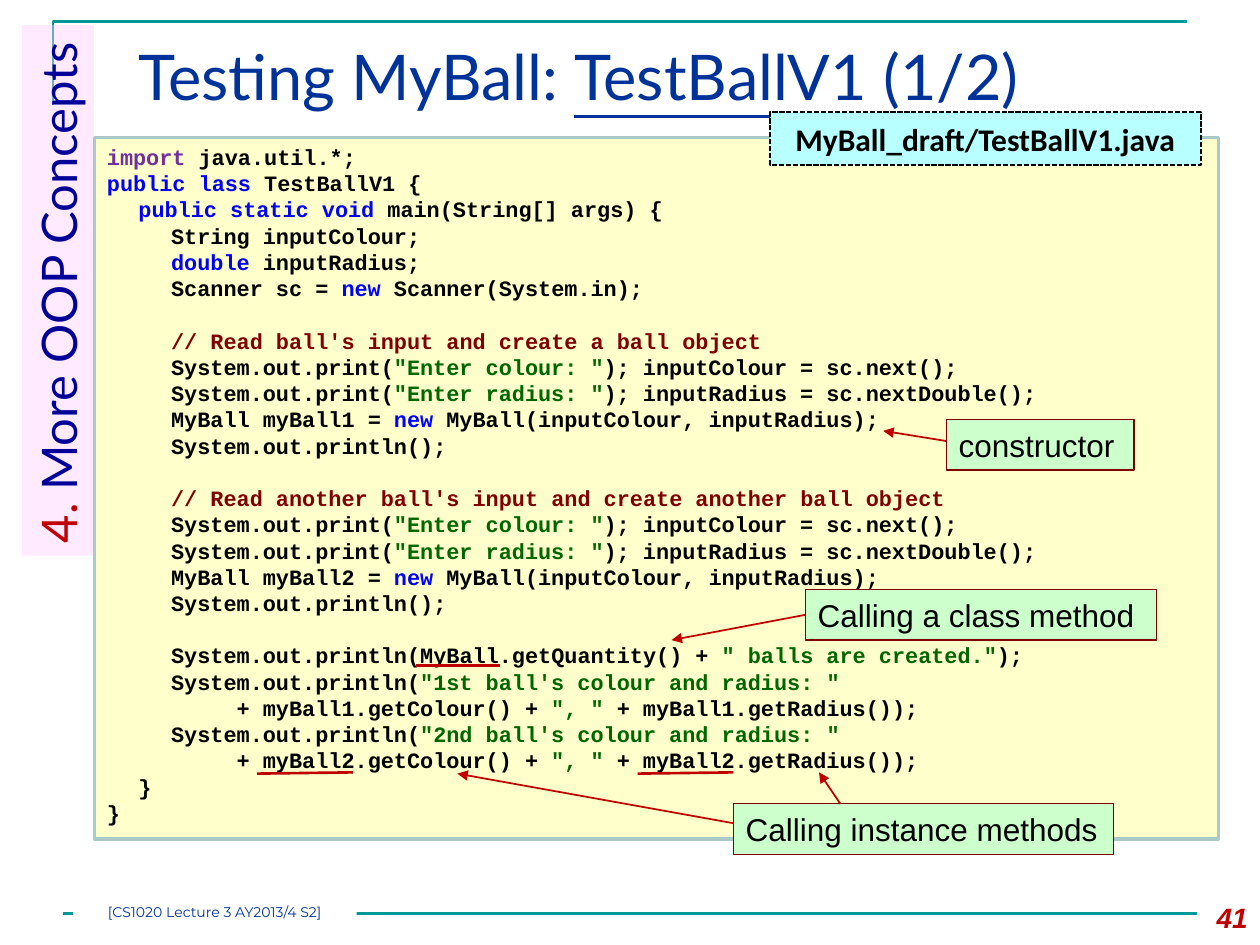
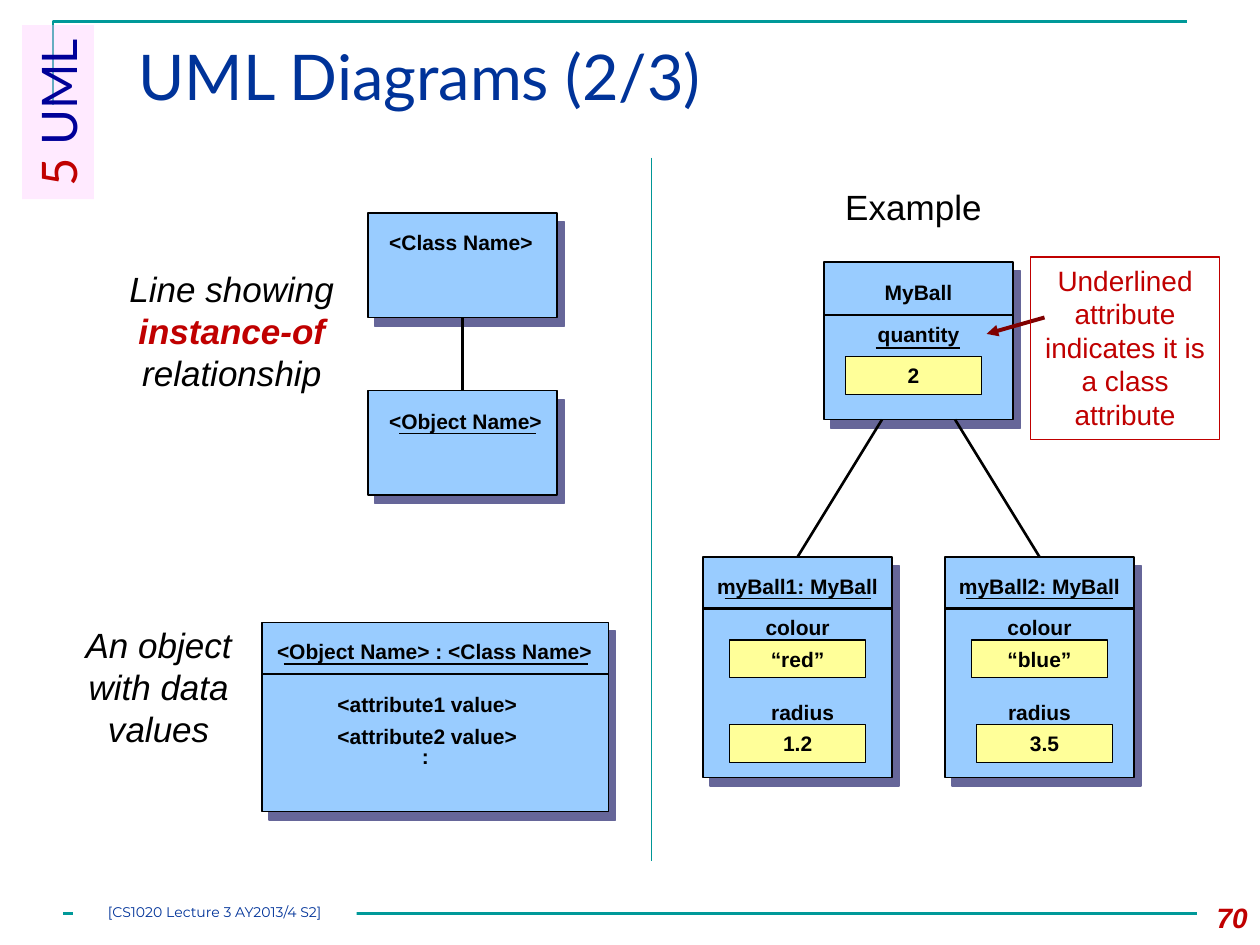
from dataclasses import dataclass, replace
from typing import NamedTuple, Optional

from lxml.etree import SubElement
from pptx import Presentation
from pptx.dml.color import RGBColor
from pptx.enum.dml import MSO_LINE
from pptx.enum.shapes import MSO_CONNECTOR, MSO_SHAPE as Kind
from pptx.enum.text import MSO_ANCHOR as Anchor, MSO_AUTO_SIZE as Fit, PP_ALIGN as Align
from pptx.oxml.ns import qn
from pptx.util import Inches, Pt

BLACK = RGBColor(0x00, 0x00, 0x00)
WHITE = RGBColor(0xFF, 0xFF, 0xFF)
TEAL = RGBColor(0x00, 0x99, 0x99)
RULE = RGBColor(0x00, 0x96, 0x96)
NAVY = RGBColor(0x00, 0x33, 0x99)
INDIGO = RGBColor(0x00, 0x00, 0x99)
RED = RGBColor(0xC0, 0x00, 0x00)
MAROON = RGBColor(0x80, 0x00, 0x00)
PINK = RGBColor(0xFF, 0xCC, 0xFF)
CREAM = RGBColor(0xFF, 0xFF, 0xCC)
SAGE = RGBColor(0xAA, 0xCA, 0xCA)
AQUA = RGBColor(0xB8, 0xFF, 0xFF)
MINT = RGBColor(0xCC, 0xFF, 0xCC)
SKY = RGBColor(0x99, 0xCC, 0xFF)
YELLOW = RGBColor(0xFF, 0xFF, 0x99)
BLUE = RGBColor(0x00, 0x00, 0xFF)
PURPLE = RGBColor(0x70, 0x30, 0xA0)
GREEN = RGBColor(0x00, 0x66, 0x00)

LEADING = 1.2
TABS = (0.25, 0.51, 0.75, 1, 1.25)


class Box(NamedTuple):
    x: float
    y: float
    w: float
    h: float


class Run(NamedTuple):
    text: str
    color: Optional[RGBColor] = None
    bold: Optional[bool] = None
    under: bool = False


@dataclass(frozen=True)
class Style:
    font: str = "Arial"
    size: float = 12
    color: RGBColor = BLACK
    bold: bool = False
    italic: bool = False
    align: Align = Align.LEFT


TITLE = Style("Lato", 36, NAVY)
SIDE = Style("Lato", 28, INDIGO)
FOOT = Style("Montserrat", 8, NAVY, align=Align.CENTER)
NUMBER = Style(size=16, color=RED, bold=True, italic=True, align=Align.RIGHT)
CODE = Style("Courier New", 12.5, bold=True)
FILE = Style("Calibri", 18, bold=True, align=Align.CENTER)
CALL = Style(size=18)
HEAD = Style(size=20, align=Align.CENTER)
ASIDE = replace(HEAD, italic=True)
NOTE = Style(size=16, color=RED, align=Align.CENTER)
NAME = Style(bold=True)
MID = replace(NAME, align=Align.CENTER)


def add_runs(para, runs, style: Style) -> None:
    para.alignment = style.align
    para.line_spacing = Pt(style.size * LEADING)
    for item in runs:
        if isinstance(item, str):
            item = Run(item)
        run = para.add_run()
        run.text = item.text
        font = run.font
        font.name, font.size = style.font, Pt(style.size)
        font.color.rgb = item.color or style.color
        font.bold = style.bold if item.bold is None else item.bold
        font.italic = style.italic
        if item.under:
            font.underline = True


def fill_text(shape, runs, style: Style, anchor=Anchor.TOP, wrap=True) -> None:
    frame = shape.text_frame
    frame.word_wrap, frame.vertical_anchor = wrap, anchor
    add_runs(frame.paragraphs[0], runs, style)


def add_text(slide, box: Box, runs, style: Style, wrap=True) -> None:
    fill_text(slide.shapes.add_textbox(*map(Inches, box)), runs, style, wrap=wrap)


def add_box(slide, box: Box, fill=None, line=None, width=0.75, kind=Kind.RECTANGLE):
    shape = slide.shapes.add_shape(kind, *map(Inches, box))
    shape.shadow.inherit = False
    if fill is None:
        shape.fill.background()
    else:
        shape.fill.solid()
        shape.fill.fore_color.rgb = fill
    if line is None:
        shape.line.fill.background()
    else:
        shape.line.color.rgb = line
        shape.line.width = Pt(width)
    return shape


def add_line(slide, start, end, color=BLACK, width=1.5, arrow=False):
    line = slide.shapes.add_connector(MSO_CONNECTOR.STRAIGHT, *map(Inches, (*start, *end)))
    line.line.color.rgb = color
    line.line.width = Pt(width)
    props = line._element.spPr
    if arrow:
        SubElement(props.find(qn("a:ln")), qn("a:tailEnd"), type="triangle")
    SubElement(props, qn("a:effectLst"))
    return line


def add_side(slide, runs, length: float) -> None:
    """Draw the section name, turned to read upwards at the left edge."""
    thick = 0.57
    box = Box(0.46 - length / 2, 0.2 + (length - thick) / 2, length, thick)
    side = add_box(slide, box, PINK)
    side.rotation = 270
    color = side._element.spPr.find(qn("a:solidFill"))[0]
    SubElement(color, qn("a:alpha"), val="40000")
    fill_text(side, runs, SIDE)


def start_slide(deck, title, number: str, side, length: float):
    slide = deck.slides.add_slide(deck.slide_layouts[5])
    head = slide.shapes.title
    head.left, head.top, head.width, head.height = map(Inches, (1, 0.25, 8.5, 0.86))
    head.text_frame.auto_size = Fit.NONE
    fill_text(head, title, TITLE)

    pen = slide.shapes.build_freeform(Inches(0.42), Inches(0.83))
    pen.add_line_segments([(Inches(0.42), Inches(0.17)), (Inches(9.42), Inches(0.17))], close=False)
    edge = pen.convert_to_shape()
    edge.shadow.inherit = False
    edge.fill.background()
    edge.line.color.rgb = TEAL
    edge.line.width = Pt(1.5)

    add_line(slide, (0.5, 7.25), (9.5, 7.25), TEAL)
    add_text(slide, Box(9.33, 7.1, 0.67, 0.4), [number], NUMBER)
    foot = add_box(slide, Box(0.58, 7.17, 2.25, 0.17), WHITE)
    frame = foot.text_frame
    frame.margin_left = frame.margin_right = frame.margin_top = frame.margin_bottom = 0
    fill_text(foot, ["[CS1020 Lecture 3 AY2013/4 S2]"], FOOT)
    add_side(slide, side, length)
    return slide


def key(text: str) -> Run:
    return Run(text, BLUE)


def lit(text: str) -> Run:
    return Run(text, GREEN)


def read_ball(name: str, note: str):
    """Give the code lines that read one ball."""
    return [
        ["\t\t", Run(note, MAROON)],
        ["\t\tSystem.out.print(", lit('"Enter colour: "'), "); inputColour = sc.next();"],
        ["\t\tSystem.out.print(", lit('"Enter radius: "'), "); inputRadius = sc.nextDouble();"],
        [f"\t\tMyBall {name} = ", key("new "), "MyBall(inputColour, inputRadius);"],
        ["\t\tSystem.out.println();"],
    ]


def show_ball(name: str, rank: str):
    """Give the code lines that print one ball."""
    return [
        ["\t\tSystem.out.println(", lit(f'"{rank} ball\'s colour and radius: "')],
        [f"\t\t     + {name}.getColour() + ", lit('", " '), f"+ {name}.getRadius());"],
    ]


BLOCKS = [
    [
        [Run("import", PURPLE), " java.util.*;"],
        [key("public lass "), "TestBallV1 {"],
        ["\t", key("public static void "), "main(String[] args) {"],
        ["\t\tString inputColour;"],
        ["\t\t", key("double "), "inputRadius;"],
        ["\t\tScanner sc = ", key("new"), " Scanner(System.in);"],
    ],
    read_ball("myBall1", "// Read ball's input and create a ball object"),
    read_ball("myBall2", "// Read another ball's input and create another ball object"),
    [
        ["\t\tSystem.out.println(MyBall.getQuantity() + ", lit('" balls are created."'), ");"],
        *show_ball("myBall1", "1st"),
        *show_ball("myBall2", "2nd"),
        ["\t}"],
        ["}"],
    ],
]


def add_code(slide) -> None:
    panel = add_box(slide, Box(0.75, 1.09, 8.92, 5.57), CREAM, SAGE, 2)
    frame = panel.text_frame
    frame.word_wrap, frame.vertical_anchor = True, Anchor.TOP
    for b, block in enumerate(BLOCKS):
        for n, runs in enumerate(block):
            para = frame.add_paragraph() if b or n else frame.paragraphs[0]
            tabs = SubElement(para._p.get_or_add_pPr(), qn("a:tabLst"))
            for stop in TABS:
                SubElement(tabs, qn("a:tab"), pos=str(Inches(stop)), algn="l")
            add_runs(para, runs, CODE)
            if b and not n:
                para.space_before = Pt(CODE.size * LEADING)


def add_call(slide, box: Box, text: str):
    call = add_box(slide, box, MINT, MAROON)
    fill_text(call, [text], CALL)
    return call


def draw_test(deck) -> None:
    title = ["Testing MyBall: ", Run("TestBallV1", under=True), " (1/2)"]
    slide = start_slide(deck, title, "41", [Run("4.", RED), " More OOP Concepts"], 4.21)
    add_code(slide)
    tag = add_box(slide, Box(6.11, 0.89, 3.42, 0.42), AQUA, BLACK, 1)
    tag.line.dash_style = MSO_LINE.SQUARE_DOT
    fill_text(tag, ["MyBall_draft/TestBallV1.java"], FILE, Anchor.MIDDLE)

    add_line(slide, (7.51, 3.5), (7.01, 3.42), RED, 1, True)
    add_call(slide, Box(7.51, 3.33, 1.49, 0.4), "constructor")
    call = add_call(slide, Box(6.39, 4.68, 2.79, 0.4), "Calling a class method")
    add_line(slide, (6.39, 4.88), (5.33, 5.08), RED, 1, True).begin_connect(call, 1)
    add_line(slide, (3.3, 5.28), (3.97, 5.28), RED)
    for x in (2.04, 5.06):
        add_line(slide, (x, 6.14), (x + 0.76, 6.13), RED)
    add_line(slide, (6.08, 6.58), (3.63, 6.14), RED, 1, True)
    add_call(slide, Box(5.82, 6.38, 3.02, 0.4), "Calling instance methods")
    add_line(slide, (6.67, 6.38), (6.5, 6.13), RED, 1, True)


def add_card(slide, box: Box):
    """Draw a blue UML box with a hard shadow."""
    card = add_box(slide, box, SKY, BLACK, kind=Kind.ROUNDED_RECTANGLE)
    card.adjustments[0] = 0
    glow = SubElement(card._element.spPr.find(qn("a:effectLst")), qn("a:outerShdw"),
                      blurRad="0", dist=str(Pt(6.4)), dir=str(51 * 60000),
                      algn="ctr", rotWithShape="0")
    SubElement(glow, qn("a:srgbClr"), val="666699")
    return card


def add_value(slide, x: float, y: float, text: str) -> None:
    cell = add_box(slide, Box(x, y, 1.08, 0.3), YELLOW, BLACK)
    fill_text(cell, [text], MID)


def add_ball(slide, x: float, name: str, colour: str, radius: str, label: float, cell: float):
    """Draw an object; label and cell are the insets of its radius row."""
    card = add_card(slide, Box(x, 4.42, 1.5, 1.75))
    add_text(slide, Box(x, 4.5, 1.5, 0.3), [f"{name}: MyBall"], MID)
    add_line(slide, (x + 0.17, 4.75), (x + 1.33, 4.75), width=1)
    add_text(slide, Box(x + 0.21, 4.83, 1.08, 0.3), ["colour"], MID)
    add_value(slide, x + 0.21, 5.08, colour)
    add_text(slide, Box(x + label, 5.5, 1.08, 0.3), ["radius"], MID)
    add_value(slide, x + cell, 5.75, radius)
    add_line(slide, (x, 4.83), (x + 1.5, 4.83))
    return card


def draw_uml(deck) -> None:
    slide = start_slide(deck, ["UML Diagrams (2/3)"], "70", [Run("5", RED), " UML"], 1.38)
    add_line(slide, (5.17, 1.25), (5.17, 6.83), RULE, 0.75)

    add_text(slide, Box(0.51, 4.9, 1.5, 1.11), ["An object with data values"], ASIDE)
    add_card(slide, Box(2.08, 4.94, 2.75, 1.5))
    for box, text in (
        (Box(2.1, 5.02, 2.72, 0.3), "<Object Name> : <Class Name>"),
        (Box(2.58, 5.44, 1.64, 0.3), "<attribute1 value>"),
        (Box(2.58, 5.69, 1.64, 0.3), "<attribute2 value>"),
        (Box(3.25, 5.85, 0.26, 0.3), ":"),
    ):
        add_text(slide, box, [text], NAME, wrap=False)
    add_line(slide, (2.25, 5.27), (4.67, 5.27), width=1)
    add_line(slide, (2.08, 5.35), (4.83, 5.35))

    add_text(slide, Box(6.25, 1.42, 2, 0.44), ["Example"], HEAD)
    add_text(slide, Box(0.84, 2.07, 2, 1.11),
             ["Line showing ", Run("instance-of ", RED, True), "relationship"], ASIDE)
    kind = add_card(slide, Box(2.92, 1.69, 1.5, 0.83))
    add_text(slide, Box(2.99, 1.77, 1.35, 0.3), ["<Class Name>"], NAME, wrap=False)
    thing = add_card(slide, Box(2.92, 3.1, 1.5, 0.83))
    add_text(slide, Box(2.99, 3.19, 1.43, 0.3), ["<Object Name>"], NAME, wrap=False)
    link = add_line(slide, (3.67, 2.52), (3.67, 3.1))
    link.begin_connect(kind, 2)
    link.end_connect(thing, 0)
    add_line(slide, (3.17, 3.44), (4.25, 3.44), width=1)

    red = add_ball(slide, 5.58, "myBall1", "“red”", "1.2", 0.25, 0.21)
    blue = add_ball(slide, 7.5, "myBall2", "“blue”", "3.5", 0.21, 0.25)
    add_card(slide, Box(6.54, 2.08, 1.5, 1.25))
    add_text(slide, Box(6.54, 2.17, 1.5, 0.3), ["MyBall"], MID)
    add_text(slide, Box(6.75, 2.5, 1.08, 0.3), ["quantity"], MID)
    add_value(slide, 6.71, 2.83, "2")
    add_line(slide, (6.54, 2.5), (8.04, 2.5))
    add_line(slide, (6.95, 2.76), (7.62, 2.76), width=1)
    for x, end, ball in ((7, 6.33, red), (7.58, 8.25, blue)):
        add_line(slide, (x, 3.33), (end, 4.42)).end_connect(ball, 0)

    add_line(slide, (8.29, 2.52), (7.83, 2.65), MAROON, 2.25, True)
    note = add_box(slide, Box(8.18, 2.04, 1.5, 1.45), line=RED)
    fill_text(note, ["Underlined attribute indicates it is a class attribute"], NOTE)


def main() -> None:
    deck = Presentation()
    deck.slide_width, deck.slide_height = Inches(10), Inches(7.5)
    draw_test(deck)
    draw_uml(deck)
    deck.save("out.pptx")


if __name__ == "__main__":
    main()
